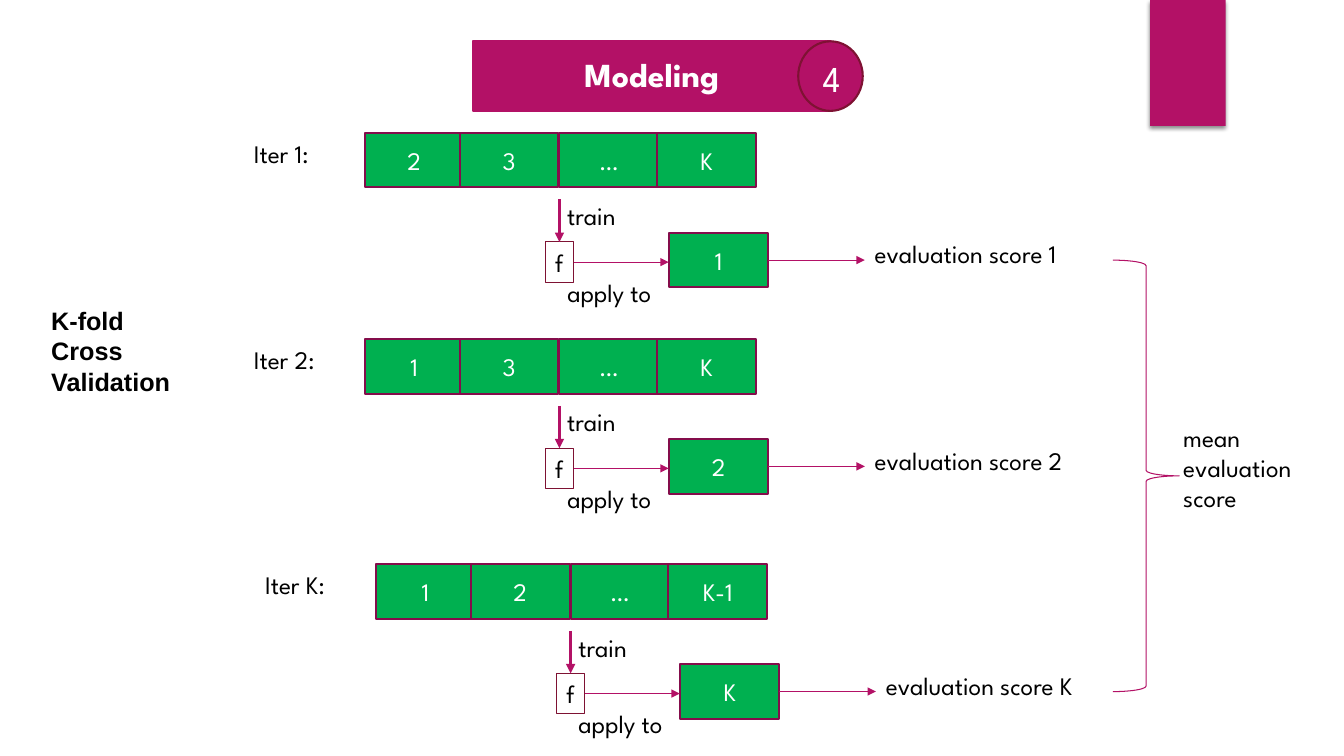
from lxml import etree
from pptx import Presentation
from pptx.dml.color import RGBColor
from pptx.enum.shapes import MSO_CONNECTOR, MSO_SHAPE as SHAPE
from pptx.enum.text import MSO_ANCHOR as ANCHOR, MSO_AUTO_SIZE as AUTO, PP_ALIGN as ALIGN
from pptx.oxml import parse_xml
from pptx.oxml.ns import qn
from pptx.util import Pt

MAGENTA = RGBColor(0xB3, 0x11, 0x66)
PLUM = RGBColor(0x84, 0x0D, 0x4B)
WINE = RGBColor(0x7E, 0x12, 0x33)
GREEN = RGBColor(0x00, 0xB0, 0x50)
WHITE = RGBColor(0xFF, 0xFF, 0xFF)
BLACK = RGBColor(0, 0, 0)
FONT = "League Spartan"

TITLE, NUMBER = "Modeling", "4"
METHOD = "K-fold Cross Validation"
SUMMARY = "mean\nevaluation\nscore"
ITERATIONS = [
    ("Iter 1:", ["2", "3", "…", "K"], "1", 260.6, 95),
    ("Iter 2:", ["1", "3", "…", "K"], "2", 260.6, 242.4),
    ("Iter K:", ["1", "2", "…", "K-1"], "K", 268.6, 403.2),
]
CELL_OFFSETS = [0, 67.7, 139, 208.8]
CELL_W, CELL_H = 70.6, 38.9
LINE_H = 28.8

prs = Presentation()
prs.slide_width, prs.slide_height = Pt(960), Pt(540)
s = prs.slides.add_slide(prs.slide_layouts[6])


def write(sp, text, size=18, font=FONT, color=BLACK, bold=False, align=ALIGN.LEFT,
          anchor=ANCHOR.TOP, wrap=True, grow=False, spacing=None, insets=None):
    tf = sp.text_frame
    tf.word_wrap = wrap
    tf.vertical_anchor = anchor
    if grow:
        tf.auto_size = AUTO.SHAPE_TO_FIT_TEXT
    if insets:
        tf.margin_left = tf.margin_right = Pt(insets[0])
        tf.margin_top = tf.margin_bottom = Pt(insets[1])
    tf.text = text
    for p in tf.paragraphs:
        p.alignment = align
        if spacing:
            p.line_spacing = spacing
        for r in p.runs:
            r.font.size, r.font.name, r.font.bold = Pt(size), font, bold
            r.font.color.rgb = color
    return sp


def shape(kind, x, y, w, h, fill=None, line=None, width=1.5):
    sp = s.shapes.add_shape(kind, Pt(x), Pt(y), Pt(w), Pt(h))
    sp.shadow.inherit = False
    if fill is None:
        sp.fill.background()
    else:
        sp.fill.solid()
        sp.fill.fore_color.rgb = fill
    if line is None:
        sp.line.fill.background()
    else:
        sp.line.color.rgb = line
        sp.line.width = Pt(width)
    return sp


def label(text, x, y, w, h=LINE_H, **fmt):
    return write(s.shapes.add_textbox(Pt(x), Pt(y), Pt(w), Pt(h)), text, **fmt)


def fold(text, x, y):
    sp = shape(SHAPE.RECTANGLE, x, y, CELL_W, CELL_H, GREEN, PLUM)
    return write(sp, text, color=WHITE, align=ALIGN.CENTER, anchor=ANCHOR.MIDDLE)


def arrow(x1, y1, x2, y2, width=0.75, start=None, end=None):
    c = s.shapes.add_connector(MSO_CONNECTOR.STRAIGHT, Pt(x1), Pt(y1), Pt(x2), Pt(y2))
    c.line.color.rgb = MAGENTA
    c.line.width = Pt(width)
    etree.SubElement(c.line._get_or_add_ln(), qn("a:tailEnd"), type="triangle")
    etree.SubElement(c._element.spPr, qn("a:effectLst"))
    if start is not None:
        c.begin_connect(start, 3)
    if end is not None:
        c.end_connect(end, 0)


def iteration(name, folds, held_out, x, y):
    test = fold(held_out, x + 217.4, y + 71.3)
    label(name, x - 86.4, y, 480, grow=True)
    for text, dx in zip(folds, CELL_OFFSETS):
        fold(text, x + dx, y)
    model = shape(SHAPE.RECTANGLE, x + 128.9, y + 77.8, 20.2, LINE_H, line=WINE, width=0.75)
    write(model, "f", wrap=False, grow=True)
    arrow(x + 139, y + 47.5, x + 139, y + 77.8, width=2.25, end=model)
    arrow(x + 149.1, y + 92.2, x + 217, y + 92.2, start=model)
    label("evaluation score " + held_out, x + 357.1, y + 72, 177.4, wrap=False, grow=True)
    arrow(x + 288, y + 90.75, x + 357.1, y + 90.75, start=test)
    label("train", x + 137.5, y + 44.6, 53.3, wrap=False, grow=True)
    label("apply to", x + 137.5, y + 99.4, 87.8, wrap=False, grow=True)


tab = shape(SHAPE.RECTANGLE, 821.5, 0, 54, 90, MAGENTA)
effects = tab._element.spPr.find(qn("a:effectLst"))
effects.append(parse_xml(
    '<a:outerShdw xmlns:a="http://schemas.openxmlformats.org/drawingml/2006/main" '
    'blurRad="38100" dist="25400" dir="5400000" rotWithShape="0">'
    '<a:srgbClr val="000000"><a:alpha val="45000"/></a:srgbClr></a:outerShdw>'))

for row in ITERATIONS:
    iteration(*row)

banner = shape(SHAPE.RECTANGLE, 337.7, 29.5, 255.6, 49.7, MAGENTA, MAGENTA)
write(banner, TITLE, size=24, color=WHITE, bold=True, align=ALIGN.CENTER,
      anchor=ANCHOR.MIDDLE, spacing=0.9, insets=(12.2, 7.2))
shape(SHAPE.OVAL, 570.2, 29.5, 46.1, 49.7, MAGENTA, WINE)
label(NUMBER, 577.4, 36.7, 33.1, 42.5, size=26, color=WHITE, align=ALIGN.CENTER,
      anchor=ANCHOR.MIDDLE, spacing=0.9, insets=(2.2, 2.2))

shape(SHAPE.RIGHT_BRACE, 794.9, 185.8, 47.5, 308.2, line=MAGENTA, width=0.75)
label(SUMMARY, 838.1, 298.1, 108.7, 72.7, wrap=False, grow=True)
label(METHOD, 29.5, 214.6, 113, 72.7, font="Arial", bold=True, grow=True)

prs.save("out.pptx")
